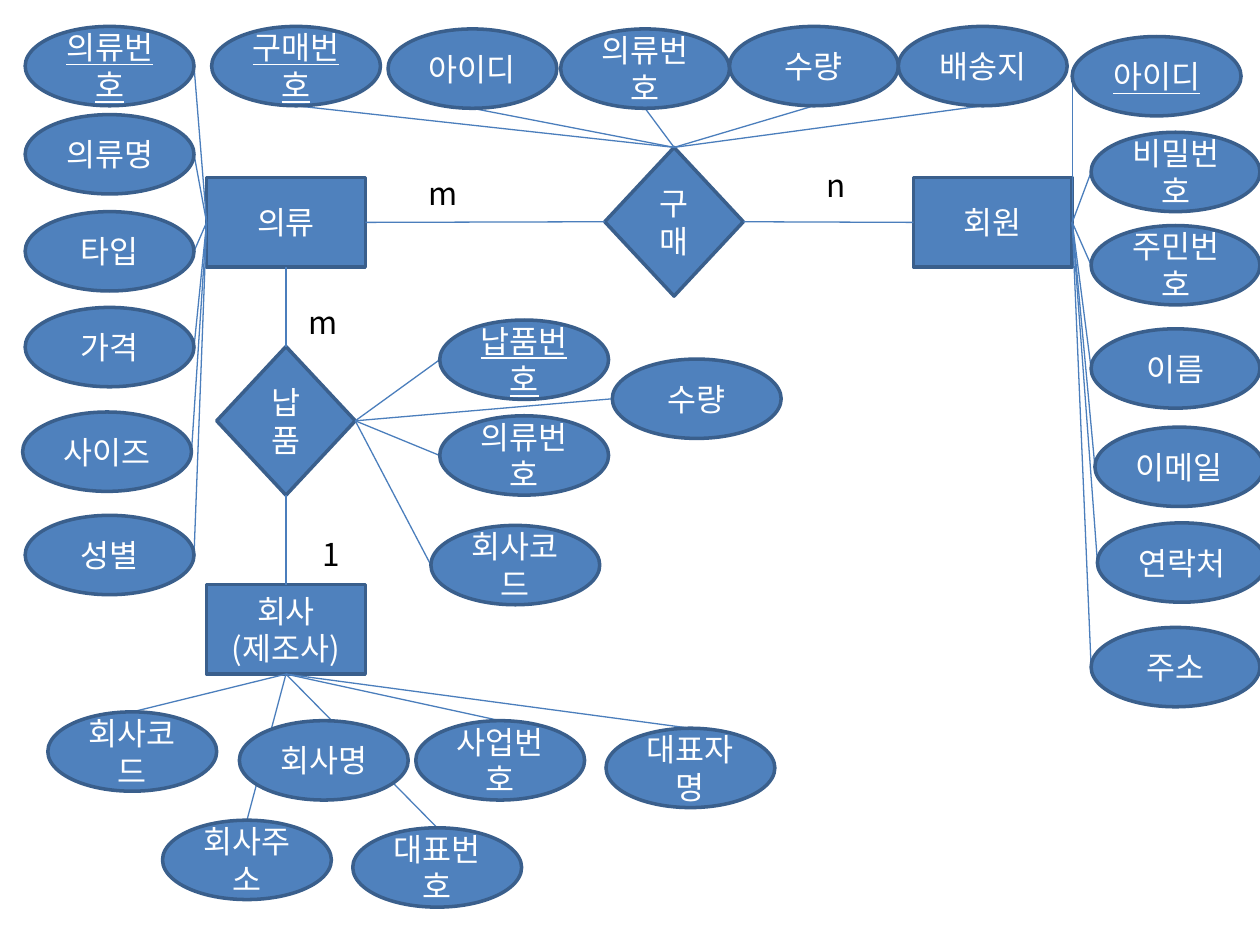
from dataclasses import dataclass

from lxml import etree
from pptx import Presentation
from pptx.dml.color import RGBColor
from pptx.enum.shapes import MSO_CONNECTOR, MSO_SHAPE
from pptx.enum.text import MSO_ANCHOR, MSO_AUTO_SIZE, PP_ALIGN
from pptx.oxml.ns import qn
from pptx.util import Inches, Pt

RECTANGLE = MSO_SHAPE.RECTANGLE
DIAMOND = MSO_SHAPE.DIAMOND
ELLIPSE = MSO_SHAPE.OVAL
STRAIGHT = MSO_CONNECTOR.STRAIGHT
MIDDLE = MSO_ANCHOR.MIDDLE
CENTER = PP_ALIGN.CENTER
LEFT = PP_ALIGN.LEFT
FIT_SHAPE = MSO_AUTO_SIZE.SHAPE_TO_FIT_TEXT

SIDES = {"top": (0.5, 0), "left": (0, 0.5), "bottom": (0.5, 1), "right": (1, 0.5)}
ENTITY_SIZE = (1.26, 0.71)
RELATION_SIZE = (1.1, 1.18)
ATTRIBUTE_SIZE = (1.34, 0.63)


@dataclass(frozen=True)
class Theme:
    fill: RGBColor = RGBColor(0x4F, 0x81, 0xBD)
    outline: RGBColor = RGBColor(0x3A, 0x5F, 0x8C)
    link: RGBColor = RGBColor(0x4B, 0x7E, 0xBC)
    light_text: RGBColor = RGBColor(0xFF, 0xFF, 0xFF)
    dark_text: RGBColor = RGBColor(0, 0, 0)
    font: str = "Noto Sans CJK KR"
    text_size: Pt = Pt(18)
    outline_width: Pt = Pt(2)
    link_width: Pt = Pt(0.75)


class Diagram:
    def __init__(self, slide, theme):
        self.slide = slide
        self.theme = theme

    def set_text(self, frame, text, color, alignment, underline=False):
        frame.text = text
        for paragraph in frame.paragraphs:
            paragraph.alignment = alignment
            font = paragraph.font
            font.size = self.theme.text_size
            font.color.rgb = color
            font.name = self.theme.font
            if underline:
                font.underline = True
            properties = paragraph._p.pPr.find(qn("a:defRPr"))
            etree.SubElement(properties, qn("a:ea"), typeface=self.theme.font)

    def node(self, kind, position, size, text, key=False):
        box = [Inches(value) for value in (*position, *size)]
        shape = self.slide.shapes.add_shape(kind, *box)
        shape.shadow.inherit = False
        shape.fill.solid()
        shape.fill.fore_color.rgb = self.theme.fill
        shape.line.color.rgb = self.theme.outline
        shape.line.width = self.theme.outline_width
        shape.text_frame.word_wrap = True
        shape.text_frame.vertical_anchor = MIDDLE
        self.set_text(shape.text_frame, text, self.theme.light_text, CENTER, key)
        return box

    def link(self, start, start_side, end, end_side):
        points = []
        for (left, top, width, height), side in ((start, start_side), (end, end_side)):
            across, down = SIDES[side]
            points += [int(left + across * width), int(top + down * height)]
        connector = self.slide.shapes.add_connector(STRAIGHT, *points)
        connector.line.color.rgb = self.theme.link
        connector.line.width = self.theme.link_width
        etree.SubElement(connector._element.spPr, qn("a:effectLst"))

    def label(self, left, top, width, text):
        box = [Inches(value) for value in (left, top, width, 0.4)]
        frame = self.slide.shapes.add_textbox(*box).text_frame
        frame.word_wrap = False
        frame.auto_size = FIT_SHAPE
        self.set_text(frame, text, self.theme.dark_text, LEFT)

    def attributes(self, owner, owner_side, side, items, key=None):
        for left, top, _ in items:
            box = [Inches(value) for value in (left, top, *ATTRIBUTE_SIZE)]
            self.link(owner, owner_side, box, side)
        for left, top, text in items:
            self.node(ELLIPSE, (left, top), ATTRIBUTE_SIZE, text, text == key)


presentation = Presentation()
presentation.slide_width = Inches(10)
presentation.slide_height = Inches(7.5)
slide = presentation.slides.add_slide(presentation.slide_layouts[6])
diagram = Diagram(slide, Theme())

clothing = diagram.node(RECTANGLE, (1.64, 1.41), ENTITY_SIZE, "의류")
member = diagram.node(RECTANGLE, (7.25, 1.41), ENTITY_SIZE, "회원")
company = diagram.node(RECTANGLE, (1.64, 4.64), ENTITY_SIZE, "회사\n(제조사)")
supply = diagram.node(DIAMOND, (1.72, 2.75), RELATION_SIZE, "납품")
purchase = diagram.node(DIAMOND, (4.8, 1.17), RELATION_SIZE, "구매")

diagram.link(clothing, "right", purchase, "left")
diagram.link(purchase, "right", member, "left")
diagram.link(clothing, "bottom", supply, "top")
diagram.link(supply, "bottom", company, "top")

for cardinality in (
    (3.3, 1.33, 0.42, "m"),
    (6.46, 1.27, 0.35, "n"),
    (2.35, 2.36, 0.42, "m"),
    (2.46, 4.2, 0.34, "1"),
):
    diagram.label(*cardinality)

diagram.attributes(clothing, "left", "right", [
    (0.2, 0.21, "의류번호"),
    (0.2, 0.91, "의류명"),
    (0.2, 1.68, "타입"),
    (0.2, 2.44, "가격"),
    (0.18, 3.27, "사이즈"),
    (0.2, 4.09, "성별"),
], key="의류번호")
diagram.attributes(member, "right", "left", [
    (8.51, 0.29, "아이디"),
    (8.66, 1.05, "비밀번호"),
    (8.66, 1.79, "주민번호"),
    (8.66, 2.61, "이름"),
    (8.69, 3.39, "이메일"),
    (8.71, 4.15, "연락처"),
    (8.66, 4.98, "주소"),
], key="아이디")
diagram.attributes(company, "bottom", "top", [
    (0.38, 5.65, "회사코드"),
    (3.3, 5.72, "사업번호"),
    (4.81, 5.78, "대표자명"),
    (1.29, 6.51, "회사주소"),
    (2.8, 6.57, "대표번호"),
])
diagram.node(ELLIPSE, (1.9, 5.72), ATTRIBUTE_SIZE, "회사명")
diagram.attributes(purchase, "top", "bottom", [
    (1.68, 0.21, "구매번호"),
    (3.08, 0.23, "아이디"),
    (4.45, 0.23, "의류번호"),
    (5.79, 0.21, "수량"),
    (7.13, 0.21, "배송지"),
], key="구매번호")
diagram.attributes(supply, "right", "left", [
    (3.49, 2.54, "납품번호"),
    (3.49, 3.3, "의류번호"),
    (3.42, 4.17, "회사코드"),
    (4.86, 2.85, "수량"),
], key="납품번호")

presentation.save("out.pptx")
